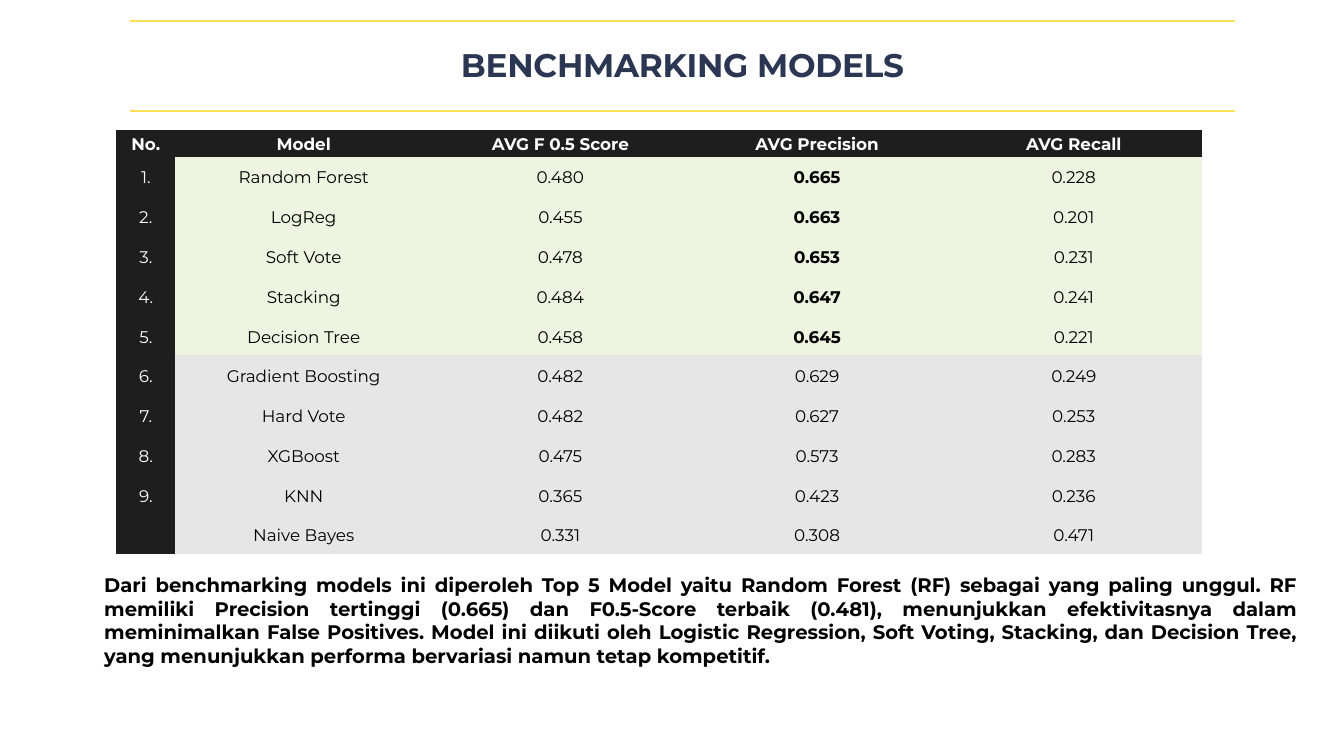
from pptx import Presentation
from pptx.dml.color import RGBColor
from pptx.enum.shapes import MSO_CONNECTOR
from pptx.enum.text import MSO_ANCHOR, PP_ALIGN
from pptx.oxml.ns import qn
from pptx.util import Inches, Pt
from lxml import etree

STRAIGHT = MSO_CONNECTOR.STRAIGHT
MIDDLE = MSO_ANCHOR.MIDDLE
CENTER, JUSTIFY = PP_ALIGN.CENTER, PP_ALIGN.JUSTIFY

COLORS = {
    "navy": "2A3652",
    "yellow": "FFDE59",
    "dark": "1E1E1E",
    "green": "EDF4E0",
    "gray": "E6E6E6",
    "white": "FFFFFF",
    "black": "000000",
}
FONT = "Montserrat"
NO_GRID_STYLE = "{2D5ABB26-0587-4C30-8999-92F81FD0307C}"
TOP_MODELS = 5
PRECISION_COLUMN = 3

HEADERS = ["No.", "Model", "AVG F 0.5 Score", "AVG Precision", "AVG Recall"]
RESULTS = [
    ["1.", "Random Forest", "0.480", "0.665", "0.228"],
    ["2.", "LogReg", "0.455", "0.663", "0.201"],
    ["3.", "Soft Vote", "0.478", "0.653", "0.231"],
    ["4.", "Stacking", "0.484", "0.647", "0.241"],
    ["5.", "Decision Tree", "0.458", "0.645", "0.221"],
    ["6.", "Gradient Boosting", "0.482", "0.629", "0.249"],
    ["7.", "Hard Vote", "0.482", "0.627", "0.253"],
    ["8.", "XGBoost", "0.475", "0.573", "0.283"],
    ["9.", "KNN", "0.365", "0.423", "0.236"],
    ["", "Naive Bayes", "0.331", "0.308", "0.471"],
]
SUMMARY = (
    "Dari benchmarking models ini diperoleh Top 5 Model yaitu Random Forest (RF) "
    "sebagai yang paling unggul. RF memiliki Precision tertinggi (0.665) dan "
    "F0.5-Score terbaik (0.481), menunjukkan efektivitasnya dalam meminimalkan "
    "False Positives. Model ini diikuti oleh Logistic Regression, Soft Voting, "
    "Stacking, dan Decision Tree, yang menunjukkan performa bervariasi namun "
    "tetap kompetitif."
)


class SlideBuilder:
    """Adds styled text, rules and tables to one slide."""

    def __init__(self, slide):
        self.slide = slide

    def color(self, name):
        return RGBColor.from_string(COLORS[name])

    def fill_frame(self, frame, text, size, color, bold, align, spacing):
        frame.margin_left = frame.margin_right = 0
        frame.margin_top = frame.margin_bottom = 0
        frame.word_wrap = True
        paragraph = frame.paragraphs[0]
        paragraph.alignment = align
        paragraph.line_spacing = Pt(spacing)
        font = paragraph.font
        font.name, font.size, font.bold = FONT, Pt(size), bold
        font.color.rgb = self.color(color)
        if text:
            paragraph.add_run().text = text
        return paragraph

    def text(self, left, top, width, height, text, size, color, align, spacing):
        box = self.slide.shapes.add_textbox(
            Inches(left), Inches(top), Inches(width), Inches(height))
        return self.fill_frame(box.text_frame, text, size, color, True, align, spacing)

    def rule(self, left, right, top):
        connector = self.slide.shapes.add_connector(
            STRAIGHT, Inches(left), Inches(top), Inches(right), Inches(top))
        connector.line.color.rgb = self.color("yellow")
        connector.line.width = Pt(1.5)
        etree.SubElement(connector._element.spPr, qn("a:effectLst"))

    def cell(self, cell, text, fill, color, bold):
        cell.fill.solid()
        cell.fill.fore_color.rgb = self.color(fill)
        cell.vertical_anchor = MIDDLE
        cell.margin_left = cell.margin_right = 0
        cell.margin_top = cell.margin_bottom = 0
        self.fill_frame(cell.text_frame, text, 18, color, bold, CENTER, 25.2)

    def table(self, left, top, widths, heights, rows):
        table = self.slide.shapes.add_table(
            len(rows), len(widths), Inches(left), Inches(top),
            Inches(sum(widths)), Inches(sum(heights))).table
        table._tbl.tblPr.find(qn("a:tableStyleId")).text = NO_GRID_STYLE
        for column, width in zip(table.columns, widths):
            column.width = Inches(width)
        for row, height in zip(table.rows, heights):
            row.height = Inches(height)
        for row_index, values in enumerate(rows):
            is_header = row_index == 0
            is_top = row_index <= TOP_MODELS
            for column_index, value in enumerate(values):
                is_dark = is_header or column_index == 0
                fill = "dark" if is_dark else "green" if is_top else "gray"
                color = "white" if is_dark else "black"
                bold = is_header or (is_top and column_index == PRECISION_COLUMN)
                self.cell(table.cell(row_index, column_index), value, fill, color, bold)


def main():
    presentation = Presentation()
    presentation.slide_width = Inches(20)
    presentation.slide_height = Inches(11.25)
    builder = SlideBuilder(presentation.slides.add_slide(presentation.slide_layouts[6]))

    title = builder.text(1.93, 0.7, 16.45, 0.57, "BENCHMARKING MODELS",
                         35, "navy", CENTER, 40.2)
    title.runs[0]._r.get_or_add_rPr().set("spc", "-30")
    for top in (0.31, 1.65):
        builder.rule(1.93, 18.38, top)

    header_height = 0.4
    row_height = (6.32 - header_height) / len(RESULTS)
    builder.table(1.73, 1.93, [0.88] + [3.82] * 4,
                  [header_height] + [row_height] * len(RESULTS), [HEADERS] + RESULTS)
    builder.text(1.55, 8.53, 17.75, 1.72, SUMMARY, 21, "black", JUSTIFY, 25.2)
    presentation.save("out.pptx")


if __name__ == "__main__":
    main()
